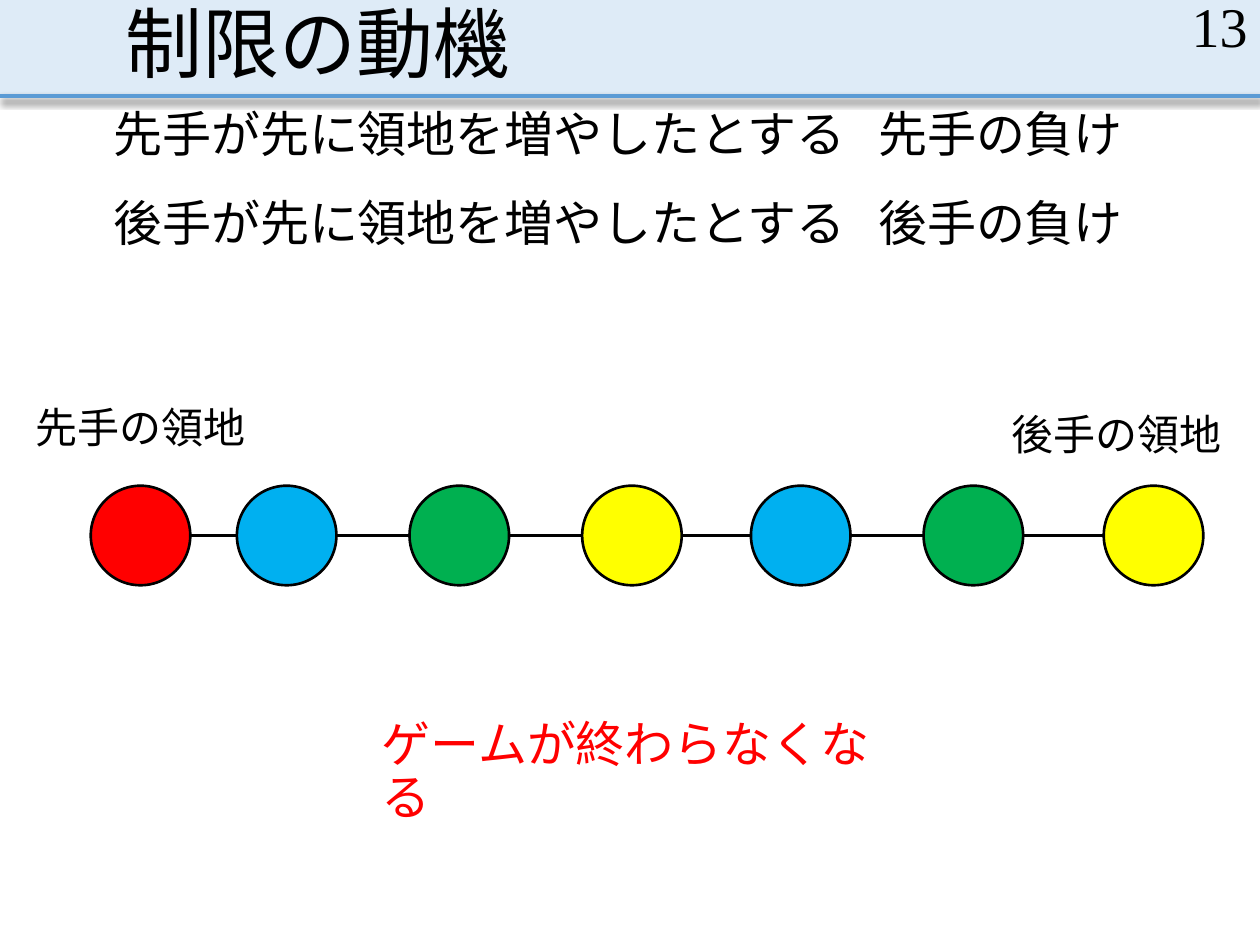
from dataclasses import dataclass
from itertools import pairwise

from lxml.etree import SubElement
from pptx import Presentation
from pptx.dml.color import RGBColor as RGB
from pptx.enum.shapes import MSO_CONNECTOR as CONN, MSO_SHAPE as SHAPE
from pptx.enum.text import MSO_ANCHOR as ANCHOR, MSO_AUTO_SIZE as FIT, PP_ALIGN as ALIGN
from pptx.oxml.ns import qn
from pptx.util import Emu, Inches, Pt


@dataclass(frozen=True)
class Theme:
    """Colours, type and line sizes, and the grid unit of the slide."""
    font: str = "Times New Roman"
    ink: str = "000000"
    band: str = "DEEBF7"
    rule: str = "5B9BD5"
    red: str = "FF0000"
    blue: str = "00B0F0"
    green: str = "00B050"
    yellow: str = "FFFF00"
    title: int = 44
    number: int = 32
    body: int = 28
    label: int = 24
    stroke: float = 2.25
    outline: float = 1.5
    cell: int = Inches(0.1)


T = Theme()
COLS, ROWS = 100, 75


def grid(*cells):
    """Turn grid columns and rows into lengths."""
    return [Emu(round(c * T.cell)) for c in cells]


def add_text(s, text, box, size, color=T.ink, anchor=ANCHOR.TOP, align=ALIGN.LEFT,
             spacing=None, inset=1, wrap=True):
    """Add a one-paragraph text box."""
    tf = s.shapes.add_textbox(*grid(*box)).text_frame
    tf.word_wrap, tf.auto_size, tf.vertical_anchor = wrap, FIT.NONE, anchor
    tf.margin_left, tf.margin_right = grid(inset, inset)
    p = tf.paragraphs[0]
    p.text, p.alignment, p.line_spacing = text, align, spacing
    font = p.runs[0].font
    font.name, font.size, font.color.rgb = T.font, Pt(size), RGB.from_string(color)


def add_body(s, text, box, color=T.ink):
    """Add a line of body text without side insets."""
    add_text(s, text, box, T.body, color, spacing=0.9, inset=0)


def add_filled(s, kind, box, fill, outline=None):
    """Add a filled preset shape, outlined on request."""
    sp = s.shapes.add_shape(kind, *grid(*box))
    sp.shadow.inherit = False
    sp.fill.solid()
    sp.fill.fore_color.rgb = RGB.from_string(fill)
    if outline:
        sp.line.color.rgb = RGB.from_string(outline)
        sp.line.width = Pt(T.outline)
    else:
        sp.line.fill.background()


def add_line(s, x1, x2, y, color=T.ink, shadow=False):
    """Add a horizontal line, with a soft shadow below on request."""
    ln = s.shapes.add_connector(CONN.STRAIGHT, *grid(x1, y, x2, y))
    ln.line.color.rgb, ln.line.width = RGB.from_string(color), Pt(T.stroke)
    effects = SubElement(ln._element.spPr, qn("a:effectLst"))
    if shadow:
        outer = SubElement(effects, qn("a:outerShdw"), blurRad=str(Pt(4)),
                           dist=str(Pt(2.5)), dir="5400000", rotWithShape="0")
        clr = SubElement(outer, qn("a:srgbClr"), val=T.ink)
        SubElement(clr, qn("a:alpha"), val="47000")


def add_header(s, title, number):
    """Add the title band with its rule and the slide number."""
    height = 7.6
    add_filled(s, SHAPE.RECTANGLE, (0, 0, COLS, height), T.band)
    add_line(s, 0, COLS, height, T.rule, shadow=True)
    add_text(s, title, (9, 0, 82.5, height), T.title, anchor=ANCHOR.BOTTOM, spacing=0.9)
    add_text(s, number, (77.5, 0, 22.5, 4), T.number, anchor=ANCHOR.MIDDLE,
             align=ALIGN.RIGHT)


def add_chain(s, nodes, y, size):
    """Add a row of circles joined by lines."""
    for x, color in nodes:
        add_filled(s, SHAPE.FLOWCHART_CONNECTOR, (x, y - size / 2, size, size), color, T.ink)
    for (left, _), (right, _) in pairwise(nodes):
        add_line(s, left + size, right, y)


def main():
    """Build the slide and save it."""
    prs = Presentation()
    prs.slide_width, prs.slide_height = grid(COLS, ROWS)
    s = prs.slides.add_slide(prs.slide_layouts[6])

    add_header(s, "制限の動機", "13")
    for i, player in enumerate(("先手", "後手")):
        y = 8.25 + 7.05 * i
        add_body(s, f"{player}が先に領地を増やしたとする", (9, y, 60, 6.7))
        add_body(s, f"{player}の負け", (69.7, y, 21, 6.7))
        add_text(s, f"{player}の領地", (1.8 + 77.5 * i, 31.4 + 0.5 * i, 18.8, 5),
                 T.label, wrap=False)

    nodes = [(7.2, T.red), (18.8, T.blue), (32.5, T.green), (46.2, T.yellow),
             (59.6, T.blue), (73.3, T.green), (87.6, T.yellow)]
    add_chain(s, nodes, y=42.5, size=7.9)
    add_body(s, "ゲームが終わらなくなる", (30.3, 56.7, 39.4, 6.2), T.red)
    prs.save("out.pptx")


if __name__ == "__main__":
    main()
